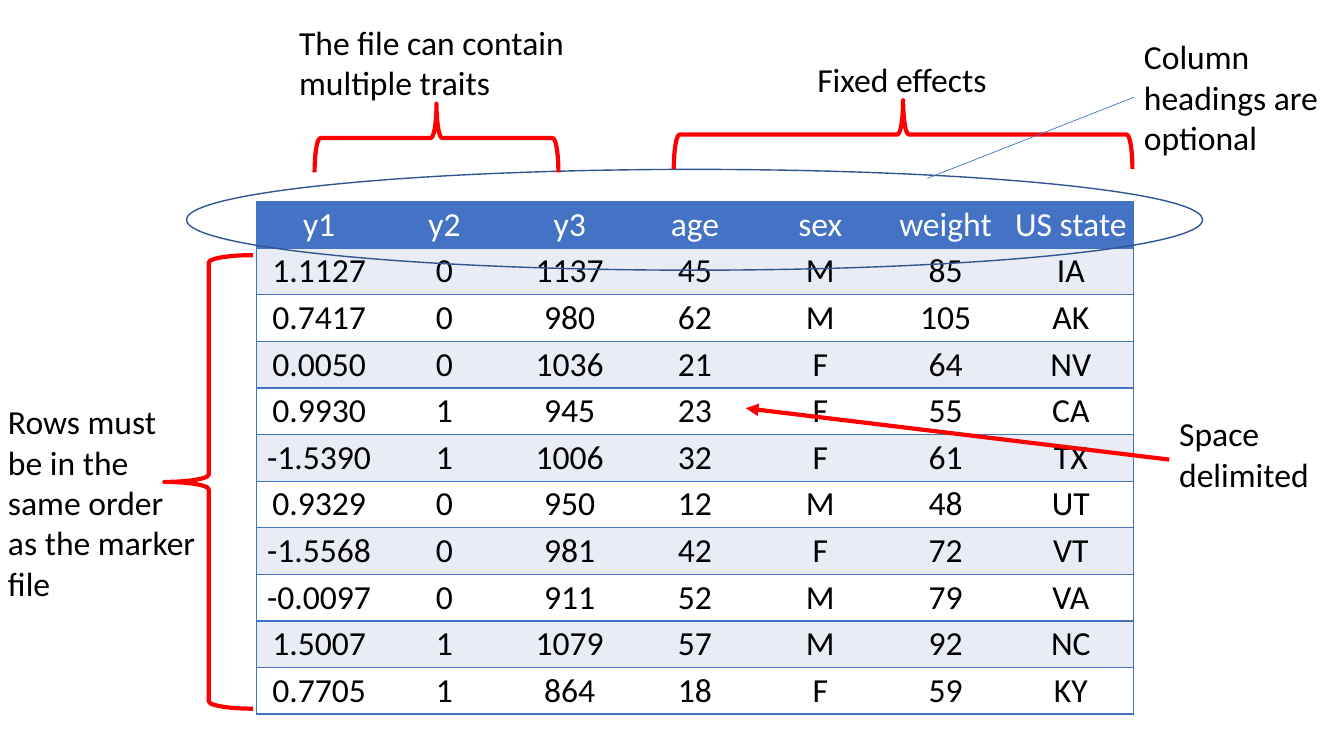
"""Build a slide that explains the layout of a phenotype data file."""
from lxml import etree
from pptx import Presentation
from pptx.dml.color import RGBColor
from pptx.enum.shapes import MSO_CONNECTOR, MSO_SHAPE
from pptx.enum.text import MSO_ANCHOR, MSO_AUTO_SIZE, PP_ALIGN
from pptx.oxml.ns import qn
from pptx.util import Pt

STRAIGHT = MSO_CONNECTOR.STRAIGHT
OVAL = MSO_SHAPE.OVAL
RIGHT_BRACE = MSO_SHAPE.RIGHT_BRACE
BOTTOM = MSO_ANCHOR.BOTTOM
FIT_SHAPE = MSO_AUTO_SIZE.SHAPE_TO_FIT_TEXT
CENTER = PP_ALIGN.CENTER

COLORS = {
    "black": "000000", "white": "FFFFFF", "band": "E9EBF5",
    "blue": "4472C4", "navy": "325491", "red": "FF0000",
}
DATA = [
    ["y1", "y2", "y3", "age", "sex", "weight", "US state"],
    ["1.1127", "0", "1137", "45", "M", "85", "IA"],
    ["0.7417", "0", "980", "62", "M", "105", "AK"],
    ["0.0050", "0", "1036", "21", "F", "64", "NV"],
    ["0.9930", "1", "945", "23", "F", "55", "CA"],
    ["-1.5390", "1", "1006", "32", "F", "61", "TX"],
    ["0.9329", "0", "950", "12", "M", "48", "UT"],
    ["-1.5568", "0", "981", "42", "F", "72", "VT"],
    ["-0.0097", "0", "911", "52", "M", "79", "VA"],
    ["1.5007", "1", "1079", "57", "M", "92", "NC"],
    ["0.7705", "1", "864", "18", "F", "59", "KY"],
]
COLUMN_WIDTH = 89.5
ROW_HEIGHT = 32.8


def style_text(paragraph, color):
    paragraph.font.name = "Calibri"
    paragraph.font.size = Pt(24)
    paragraph.font.color.rgb = RGBColor.from_string(COLORS[color])


def style_line(shape, color, width):
    shape.line.color.rgb = RGBColor.from_string(COLORS[color])
    shape.line.width = Pt(width)


presentation = Presentation()
presentation.slide_width = Pt(960)
presentation.slide_height = Pt(540)
slide = presentation.slides.add_slide(presentation.slide_layouts[6])
shapes = slide.shapes

last_column = len(DATA[0]) - 1
table = shapes.add_table(
    len(DATA), len(DATA[0]), Pt(183.2), Pt(144),
    Pt(COLUMN_WIDTH * len(DATA[0])), Pt(ROW_HEIGHT * len(DATA)),
).table
for column in table.columns:
    column.width = Pt(COLUMN_WIDTH)
for row_index, values in enumerate(DATA):
    table.rows[row_index].height = Pt(ROW_HEIGHT)
    fill_color = "blue" if row_index == 0 else ("white", "band")[row_index % 2]
    for column_index, value in enumerate(values):
        cell = table.cell(row_index, column_index)
        cell.text = value
        cell.vertical_anchor = BOTTOM
        cell.margin_left = cell.margin_right = Pt(4.3)
        cell.margin_top = cell.margin_bottom = Pt(2)
        paragraph = cell.text_frame.paragraphs[0]
        paragraph.alignment = CENTER
        style_text(paragraph, "white" if row_index == 0 else "black")
        borders = {
            "a:lnL": column_index == 0, "a:lnR": column_index == last_column,
            "a:lnT": True, "a:lnB": True,
        }
        properties = cell._tc.get_or_add_tcPr()
        for tag, visible in borders.items():
            border = etree.SubElement(properties, qn(tag), w=str(Pt(1)))
            if visible:
                fill = etree.SubElement(border, qn("a:solidFill"))
                etree.SubElement(fill, qn("a:srgbClr"), val=COLORS["blue"])
            else:
                etree.SubElement(border, qn("a:noFill"))
        cell.fill.solid()
        cell.fill.fore_color.rgb = RGBColor.from_string(COLORS[fill_color])

labels = {}
for name, left, top, width, height, lines in [
    ("delimiter", 835.2, 291.6, 108, 65.5, ["Space", "delimited"]),
    ("traits", 206.6, 12.2, 211, 65.5, ["The file can contain", "multiple traits"]),
    ("effects", 576.7, 38.9, 137.5, 36, ["Fixed effects"]),
    ("headings", 810, 22.3, 145.4, 94.3, ["Column", "headings are", "optional"]),
    ("order", -1.4, 283, 149.8, 152.6,
     ["Rows must", "be in the", "same order", "as the marker", "file"]),
]:
    label = shapes.add_textbox(Pt(left), Pt(top), Pt(width), Pt(height))
    frame = label.text_frame
    frame.word_wrap = False
    frame.auto_size = FIT_SHAPE
    frame.text = "\n".join(lines)
    for paragraph in frame.paragraphs:
        style_text(paragraph, "black")
    labels[name] = label

header_ring = shapes.add_shape(OVAL, Pt(133.2), Pt(121), Pt(725.8), Pt(72))
header_ring.shadow.inherit = False
header_ring.fill.background()
style_line(header_ring, "navy", 1)

for left, top, width, height, rotation in [
    (117.4, 182.2, 63.4, 324, 180),
    (287.3, 11.5, 49, 174.2, 270),
    (620.6, -67.7, 49, 327.6, 270),
]:
    brace = shapes.add_shape(RIGHT_BRACE, Pt(left), Pt(top), Pt(width), Pt(height))
    brace.rotation = rotation
    brace.shadow.inherit = False
    brace.fill.background()
    style_line(brace, "red", 3)

delimiter_arrow = shapes.add_connector(
    STRAIGHT, Pt(835.2), Pt(328.3), Pt(532.8), Pt(291.6))
style_line(delimiter_arrow, "red", 3)
etree.SubElement(delimiter_arrow.line._get_or_add_ln(), qn("a:tailEnd"), type="triangle")

heading_line = shapes.add_connector(
    STRAIGHT, Pt(662.4), Pt(127.4), Pt(810), Pt(69.8))
heading_line.end_connect(labels["headings"], 1)
style_line(heading_line, "blue", 0.5)

for connector in (delimiter_arrow, heading_line):
    etree.SubElement(connector._element.spPr, qn("a:effectLst"))

presentation.save("out.pptx")
